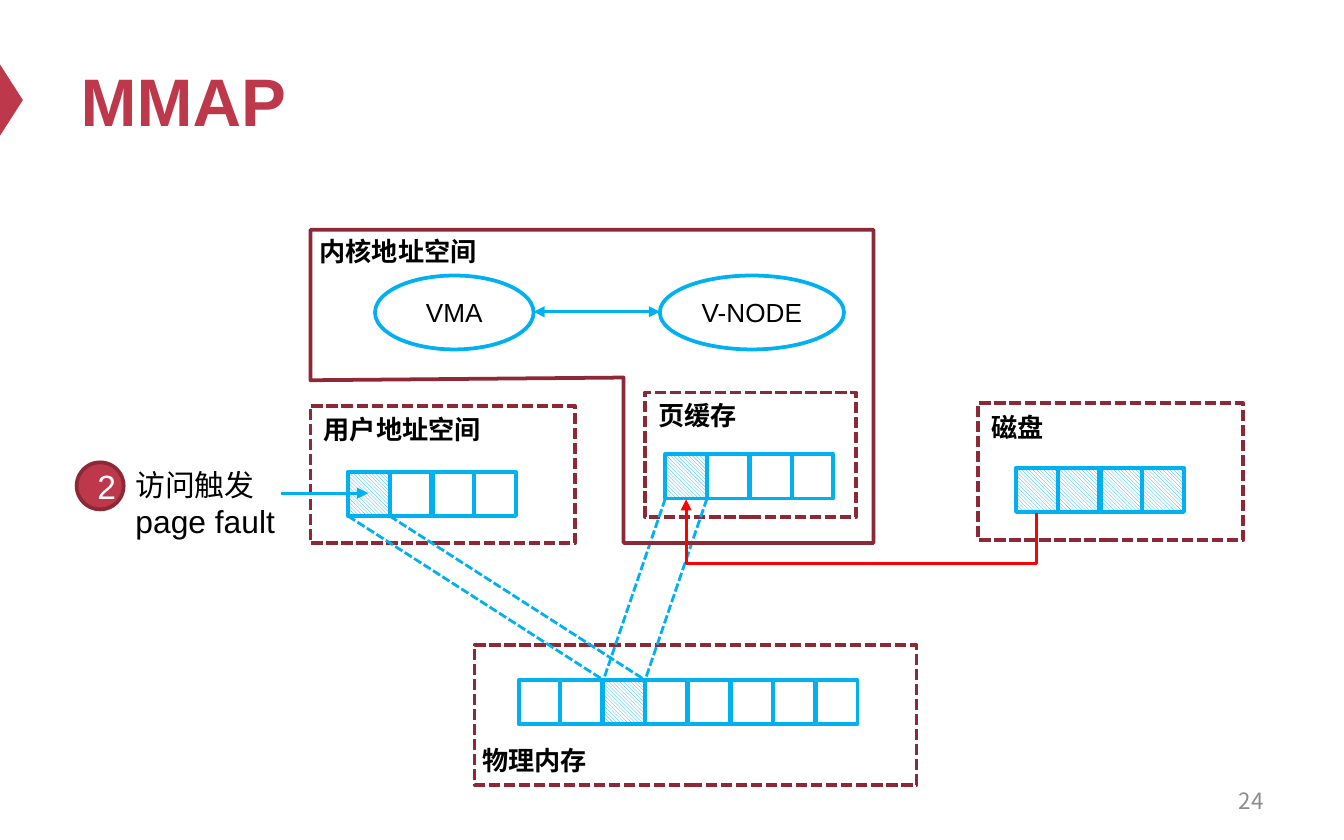
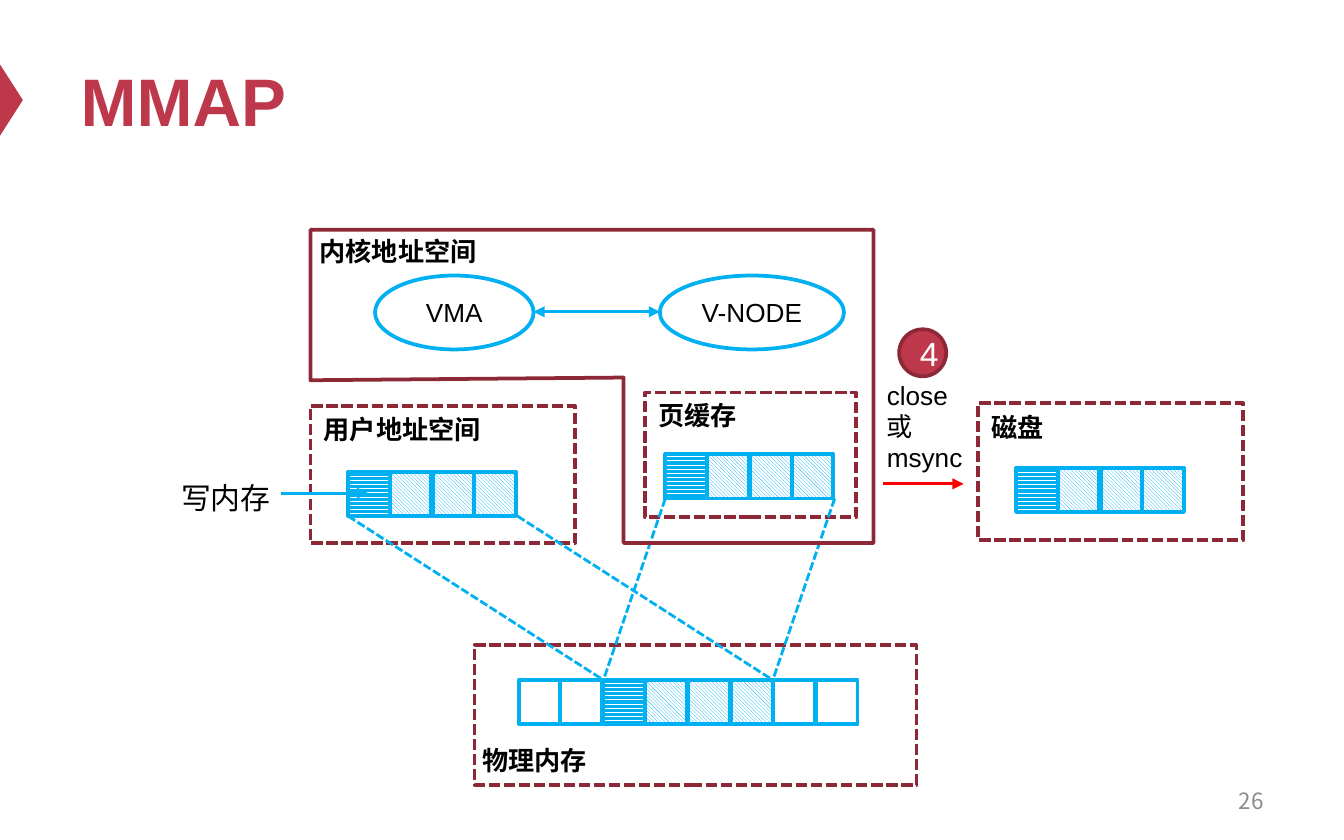
from lxml.etree import SubElement
from pptx import Presentation
from pptx.dml.color import RGBColor
from pptx.enum.dml import MSO_LINE, MSO_PATTERN
from pptx.enum.shapes import MSO_CONNECTOR, MSO_SHAPE
from pptx.enum.text import MSO_ANCHOR, MSO_AUTO_SIZE, PP_ALIGN
from pptx.oxml.ns import qn
from pptx.util import Pt

PX = 9144  # one px is 1/100 inch
COLORS = {"crimson": "BE384B", "wine": "8D2937", "sky": "00B0F0", "red": "FF0000",
          "black": "000000", "white": "FFFFFF", "gray": "8C8C8C"}
LATIN, CJK = "Arial", "Noto Sans CJK SC"
PATTERNS = {"d": MSO_PATTERN.DARK_DOWNWARD_DIAGONAL, "h": MSO_PATTERN.DARK_HORIZONTAL}
CELL_W, CELL_H = 31, 33

# Boxes of the regions and offsets of the cell rows inside them
USER, USER_ROW = (231, 302, 197, 102), (28, 49)
CACHE, CACHE_ROW = (480, 292, 157, 93), (15, 46)
DISK, DISK_ROW = (728, 300, 197, 102), (28, 48)
MEMORY, MEMORY_ROW = (353, 480, 329, 104), (33, 26)
KERNEL = (231, 171, 419, 233)
FIRST_MAPPED = 2  # index of the first mapped page in physical memory


def px(*values):
    return [v * PX for v in values]


def rgb(name):
    return RGBColor.from_string(COLORS[name])


def cell_edge(i):
    """Left edge of cell i, measured from the start of its row."""
    return i * 316 // 10


def row_start(box, offset):
    return box[0] + offset[0], box[1] + offset[1]


def style_run(r, size, color="black", bold=False, font=LATIN):
    r.font.size = Pt(size)
    r.font.bold = bold
    r.font.color.rgb = rgb(color)
    r.font.name = font
    SubElement(r.font._element, qn("a:ea")).set("typeface", CJK)


def set_line(line, color, width, dashed=False):
    line.color.rgb = rgb(color)
    line.width = Pt(width)
    if dashed:
        line.dash_style = MSO_LINE.SQUARE_DOT


def outline(sp, color, dashed=False, fill=None):
    sp.shadow.inherit = False
    if fill:
        sp.fill.solid()
        sp.fill.fore_color.rgb = rgb(fill)
    else:
        sp.fill.background()
    set_line(sp.line, color, 2, dashed)


def add_text(s, box, text, size, bold=False):
    sp = s.shapes.add_textbox(*px(*box))
    tf = sp.text_frame
    tf.word_wrap = True
    tf.auto_size = MSO_AUTO_SIZE.SHAPE_TO_FIT_TEXT
    tf.text = text
    style_run(tf.paragraphs[0].runs[0], size, bold=bold)
    return tf


def center_text(sp, text, size, color):
    tf = sp.text_frame
    tf.vertical_anchor = MSO_ANCHOR.MIDDLE
    tf.text = text
    p = tf.paragraphs[0]
    p.alignment = PP_ALIGN.CENTER
    style_run(p.runs[0], size, color)
    return tf


def add_link(s, start, end, color="sky", dashed=False, head=False, tail=False,
             kind=MSO_CONNECTOR.STRAIGHT):
    c = s.shapes.add_connector(kind, *px(*start, *end))
    set_line(c.line, color, 1.5, dashed)
    sp_pr = c._element.spPr
    ln = sp_pr.find(qn("a:ln"))
    for tag, wanted in (("a:headEnd", head), ("a:tailEnd", tail)):
        if wanted:
            SubElement(ln, qn(tag)).set("type", "triangle")
    SubElement(sp_pr, qn("a:effectLst"))
    return c


def frame(s, number):
    """Title, side marker and page number."""
    title = s.shapes.title
    title.left, title.top, title.width, title.height = px(50, 25, 900, 98)
    tf = title.text_frame
    tf.text = "MMAP"
    tf.vertical_anchor = MSO_ANCHOR.MIDDLE
    tf.paragraphs[0].alignment = PP_ALIGN.LEFT
    style_run(tf.paragraphs[0].runs[0], 36, "crimson", bold=True)

    marker = s.shapes.add_shape(MSO_SHAPE.ISOSCELES_TRIANGLE, *px(-18, 66, 53, 17))
    marker.rotation = 90
    marker.shadow.inherit = False
    marker.fill.solid()
    marker.fill.fore_color.rgb = rgb("crimson")
    marker.line.fill.background()

    tf = s.shapes.add_textbox(*px(717, 579, 233, 33)).text_frame
    tf.word_wrap = True
    tf.vertical_anchor = MSO_ANCHOR.MIDDLE
    tf.text = str(number)
    tf.paragraphs[0].alignment = PP_ALIGN.RIGHT
    style_run(tf.paragraphs[0].runs[0], 12, "gray", font=CJK)


def region(s, box, label, label_at, row_at, cells):
    """Dashed box with a label and a row of page cells."""
    x, y, w, h = box
    outline(s.shapes.add_shape(MSO_SHAPE.RECTANGLE, *px(x, y, w, h)), "wine", dashed=True)
    add_text(s, (x + label_at[0], y + label_at[1], 142, 34), label, 14, bold=True)
    row_x, row_y = row_start(box, row_at)
    for i, cell in enumerate(cells):
        sp = s.shapes.add_shape(MSO_SHAPE.RECTANGLE,
                                *px(row_x + cell_edge(i), row_y, CELL_W, CELL_H))
        outline(sp, "sky")
        if cell in PATTERNS:
            sp.fill.patterned()
            sp.fill.pattern = PATTERNS[cell]
            sp.fill.fore_color.rgb = rgb("sky")
            sp.fill.back_color.rgb = rgb("white")


def kernel(s, box):
    """L-shaped kernel space with the two linked structures."""
    x, y, w, h = box
    fb = s.shapes.build_freeform(x, y, scale=PX)
    fb.add_line_segments([(x + w, y), (x + w, y + h), (x + 233, y + h),
                          (x + 233, y + 110), (x, y + 112)], close=True)
    outline(fb.convert_to_shape(), "wine")
    add_text(s, (x - 3, y - 1, 142, 34), "内核地址空间", 14, bold=True)
    for name, left, width in (("VMA", 48, 118), ("V-NODE", 260, 137)):
        sp = s.shapes.add_shape(MSO_SHAPE.OVAL, *px(x + left, y + 34, width, 55))
        outline(sp, "sky")
        center_text(sp, name, 14, "black")
    add_link(s, (x + 166, y + 61), (x + 260, y + 61), head=True, tail=True)


def mappings(s, count):
    """Dashed lines from both virtual rows to the mapped pages."""
    mem_x, mem_y = row_start(MEMORY, MEMORY_ROW)
    mem_x += cell_edge(FIRST_MAPPED)
    for box, offset in ((USER, USER_ROW), (CACHE, CACHE_ROW)):
        x, y = row_start(box, offset)
        for edge in (0, cell_edge(count)):
            add_link(s, (x + edge, y + CELL_H), (mem_x + edge, mem_y), dashed=True)


def badge(s, x, y, number):
    sp = s.shapes.add_shape(MSO_SHAPE.FLOWCHART_CONNECTOR, *px(x, y, 35, 35))
    outline(sp, "wine", fill="crimson")
    center_text(sp, str(number), 18, "white").margin_right = 0


def diagram(prs, number, mapped, disk, mapped_count):
    """What both steps share; mapped and disk give the cell fills."""
    s = prs.slides.add_slide(prs.slide_layouts[5])
    frame(s, number)
    region(s, USER, "用户地址空间", (0, 1), USER_ROW, mapped)
    region(s, CACHE, "页缓存", (0, 0), CACHE_ROW, mapped)
    region(s, MEMORY, "物理内存", (-4, 69), MEMORY_ROW, f"..{mapped}..")
    region(s, DISK, "磁盘", (0, 1), DISK_ROW, disk)
    mappings(s, mapped_count)
    kernel(s, KERNEL)
    add_link(s, (209, 367), (274, 367), tail=True)  # access to the first page
    return s


def page_fault(prs):
    s = diagram(prs, 24, "d...", "dddd", 1)
    tf = add_text(s, (91, 342, 133, 66), "访问触发 ", 16)
    r = tf.paragraphs[0].add_run()
    r.text = "page fault"
    style_run(r, 17)
    badge(s, 57, 344, 2)

    # Load from disk: leaves and enters the cells from below
    c = add_link(s, (772, 381), (510, 371), "red", tail=True, kind=MSO_CONNECTOR.ELBOW)
    c.left, c.top, c.width, c.height = px(636, 246, 10, 261)
    xfrm = c._element.spPr.find(qn("a:xfrm"))
    xfrm.attrib.pop("flipV", None)
    xfrm.set("rot", "5400000")
    xfrm.set("flipH", "1")
    guides = c._element.spPr.find(qn("a:prstGeom")).get_or_add_avLst()
    guide = SubElement(guides, qn("a:gd"))
    guide.set("name", "adj1")
    guide.set("fmla", "val -380000")


def write_back(prs):
    s = diagram(prs, 26, "hddd", "hddd", 4)
    add_text(s, (125, 352, 97, 37), "写内存", 16)
    add_text(s, (650, 277, 87, 81), "close 或 msync", 14)
    add_link(s, (657, 360), (717, 360), "red", tail=True)
    badge(s, 669, 245, 4)


def main():
    prs = Presentation()
    prs.slide_width, prs.slide_height = px(1000, 625)
    page_fault(prs)
    write_back(prs)
    prs.save("out.pptx")


if __name__ == "__main__":
    main()
